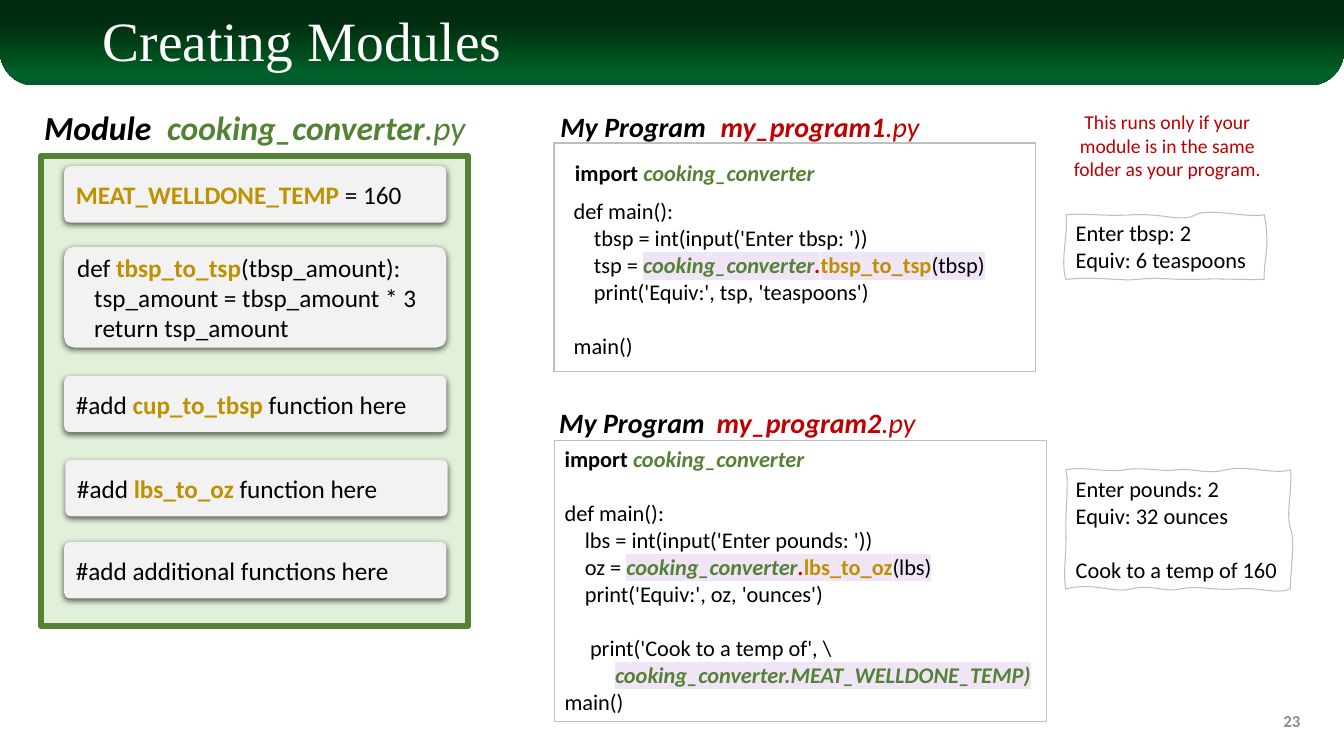
"""Build the Creating Modules slide: a Python module and two programs that import it."""
from lxml import etree
from pptx import Presentation
from pptx.dml.color import RGBColor
from pptx.enum.shapes import MSO_SHAPE
from pptx.enum.text import MSO_ANCHOR, PP_ALIGN
from pptx.oxml import parse_xml
from pptx.oxml.ns import nsdecls, qn
from pptx.util import Cm, Pt

COLORS = {
    "black": "000000", "white": "FFFFFF", "green": "548235", "pale green": "E2F0D9",
    "gold": "BF9000", "red": "C00000", "card": "F2F2F2", "border": "BFBFBF",
    "page": "8C8C8C", "lilac": "EFE5F7",
}
STYLES = {
    "plain": ("black", False, False, False),
    "keyword": ("black", True, False, False),
    "heading": ("black", True, True, False),
    "name": ("gold", True, False, False),
    "module": ("green", True, True, False),
    "module suffix": ("green", False, True, False),
    "program": ("red", True, True, False),
    "program suffix": ("red", False, True, False),
    "note": ("red", False, False, False),
    "title": ("white", False, False, False),
    "page": ("page", True, False, False),
    "used module": ("green", True, True, True),
    "used dot": ("red", True, True, True),
    "used name": ("gold", True, False, True),
    "used call": ("black", False, False, True),
}
BLANK_LINE = 19.5
CODE_INDENT = 0.51
CONTINUATION_INDENT = 0.63

prs = Presentation()
prs.slide_width, prs.slide_height = Cm(33.87), Cm(19.05)
slide = prs.slides.add_slide(prs.slide_layouts[6])
shapes = slide.shapes


def write(shape, lines, size, font="Calibri", anchor=MSO_ANCHOR.TOP, align=PP_ALIGN.LEFT):
    """Fill a shape with lines of (indent in cm, gap above in points, runs)."""
    frame = shape.text_frame
    frame.word_wrap = True
    frame.vertical_anchor = anchor
    for number, (indent, gap, runs) in enumerate(lines):
        paragraph = frame.add_paragraph() if number else frame.paragraphs[0]
        paragraph.alignment = align
        paragraph.space_before = Pt(gap)
        hanging = CONTINUATION_INDENT if ("\n", "plain") in runs else 0
        properties = paragraph._p.get_or_add_pPr()
        properties.set("marL", str(Cm(indent + hanging)))
        properties.set("indent", str(Cm(-hanging)))
        for text, style in runs:
            if text == "\n":
                paragraph.add_line_break()
                continue
            color, bold, italic, highlighted = STYLES[style]
            run = paragraph.add_run()
            run.text = text
            run.font.size, run.font.bold, run.font.italic = Pt(size), bold, italic
            run.font.color.rgb = RGBColor.from_string(COLORS[color])
            if highlighted:
                run.font._element.find(qn("a:solidFill")).addnext(parse_xml(
                    f'<a:highlight {nsdecls("a")}><a:srgbClr val="{COLORS["lilac"]}"/></a:highlight>'))
            run.font.name = font


def paint(shape, fill, line, width):
    """Give a shape its fill and outline, without a shadow."""
    shape.shadow.inherit = False
    if fill:
        shape.fill.solid()
        shape.fill.fore_color.rgb = RGBColor.from_string(COLORS[fill])
    else:
        shape.fill.background()
    if line:
        shape.line.color.rgb = RGBColor.from_string(COLORS[line])
        shape.line.width = Pt(width)
    else:
        shape.line.fill.background()


banner = shapes.add_shape(MSO_SHAPE.ROUND_2_SAME_RECTANGLE, 0, 0, prs.slide_width, Cm(2.15))
banner.adjustments[0], banner.adjustments[1] = 0, 0.4
paint(banner, None, None, 0)
banner.fill.gradient()
banner.fill.gradient_angle = 270
banner_stops = banner._element.spPr.find(qn("a:gradFill")).find(qn("a:gsLst"))
for stop in list(banner_stops):
    banner_stops.remove(stop)
for percent, shade in [(28, "002D10"), (68, "00501D"), (85, "00602B"), (100, "005C2B")]:
    stop = etree.SubElement(banner_stops, qn("a:gs"), pos=str(percent * 1000))
    etree.SubElement(stop, qn("a:srgbClr"), val=shade)

title = shapes.add_textbox(Cm(2.34), Cm(0.33), Cm(29.2), Cm(1.55))
write(title, [(0, 0, [("Creating Modules", "title")])], 39.6, "Times New Roman", MSO_ANCHOR.MIDDLE)
title.text_frame.paragraphs[0].line_spacing = 0.9

module_panel = shapes.add_shape(MSO_SHAPE.RECTANGLE, Cm(1.03), Cm(3.93), Cm(10.77), Cm(11.84))
paint(module_panel, "pale green", "green", 4.5)

headings = [
    (0.86, 2.56, 3.23, 24, [("Module", "heading")]),
    (3.96, 2.56, 8.79, 24, [("cooking_converter", "module"), (".py", "module suffix")]),
    (13.87, 2.64, 4.22, 20, [("My Program", "heading")]),
    (17.91, 2.64, 6.48, 20, [("my_program1", "program"), (".py", "program suffix")]),
    (13.84, 10.1, 4.22, 20, [("My Program", "heading")]),
    (17.81, 10.1, 6.48, 20, [("my_program2", "program"), (".py", "program suffix")]),
]
for left, top, width, size, runs in headings:
    heading = shapes.add_textbox(Cm(left), Cm(top), Cm(width), Cm(1.1))
    write(heading, [(0, 0, runs)], size)

module_cards = [
    (1.62, 9.47, 1.42, [
        (0, 0, [("#add ", "plain"), ("cup_to_tbsp ", "name"), ("function here", "plain")])]),
    (1.62, 6.22, 2.54, [
        (0, 0, [("def ", "plain"), ("tbsp_to_tsp", "name"), ("(tbsp_amount):", "plain")]),
        (0.43, 0, [("tsp_amount = tbsp_amount * 3", "plain")]),
        (0.43, 0, [("return tsp_amount", "plain")])]),
    (1.65, 11.59, 1.42, [
        (0, 0, [("#add ", "plain"), ("lbs_to_oz ", "name"), ("function here", "plain")])]),
    (1.62, 13.66, 1.42, [(0, 0, [("#add additional functions here", "plain")])]),
    (1.62, 4.19, 1.42, [(0, 0, [("MEAT_WELLDONE_TEMP ", "name"), ("= 160", "plain")])]),
]
for left, top, height, lines in module_cards:
    card = shapes.add_shape(MSO_SHAPE.ROUNDED_RECTANGLE, Cm(left), Cm(top), Cm(9.63), Cm(height))
    card.adjustments[0] = 0.1
    paint(card, "card", None, 0)
    card_shadow = etree.SubElement(card._element.spPr.find(qn("a:effectLst")), qn("a:outerShdw"),
                                   blurRad=str(Pt(4.5)), dist=str(Pt(1.5)), dir="5400000", rotWithShape="0")
    shadow_color = etree.SubElement(card_shadow, qn("a:srgbClr"), val=COLORS["black"])
    etree.SubElement(shadow_color, qn("a:alpha"), val="63000")
    write(card, lines, 18, anchor=MSO_ANCHOR.MIDDLE)

import_line = (0, 0, [("import ", "keyword"), ("cooking_converter", "module")])

program1_frame = shapes.add_shape(MSO_SHAPE.RECTANGLE, Cm(13.96), Cm(3.6), Cm(12.14), Cm(5.77))
paint(program1_frame, None, "border", 1)
program1_import = shapes.add_textbox(Cm(14.24), Cm(3.89), Cm(6.7), Cm(0.94))
write(program1_import, [import_line], 16)
program1_code = shapes.add_textbox(Cm(14.21), Cm(4.85), Cm(12.4), Cm(4.37))
write(program1_code, [
    (0, 0, [("def main():", "plain")]),
    (CODE_INDENT, 0, [("tbsp = int(input('Enter tbsp: '))", "plain")]),
    (CODE_INDENT, 0, [("tsp = ", "plain"), ("cooking_converter", "used module"), (".", "used dot"),
                      ("tbsp_to_tsp", "used name"), ("(tbsp)", "used call")]),
    (CODE_INDENT, 0, [("print('Equiv:', tsp, 'teaspoons')", "plain")]),
    (0, BLANK_LINE, [("main()", "plain")]),
], 16)

program2_code = shapes.add_shape(MSO_SHAPE.RECTANGLE, Cm(13.98), Cm(11.09), Cm(12.4), Cm(7.09))
paint(program2_code, None, "border", 0.75)
write(program2_code, [
    import_line,
    (0, BLANK_LINE, [("def main():", "plain")]),
    (CODE_INDENT, 0, [("lbs = int(input('Enter pounds: '))", "plain")]),
    (CODE_INDENT, 0, [("oz = ", "plain"), ("cooking_converter", "used module"), (".", "used dot"),
                      ("lbs_to_oz", "used name"), ("(lbs)", "used call")]),
    (CODE_INDENT, 0, [("print('Equiv:', oz, 'ounces')", "plain")]),
    (0.64, BLANK_LINE, [("print('Cook to a temp of', \\", "plain"), ("\n", "plain"),
                        ("cooking_converter.MEAT_WELLDONE_TEMP)", "used module")]),
    (0, 0, [("main()", "plain")]),
], 16)
for line_break in program2_code._element.iter(qn("a:br")):
    etree.SubElement(line_break, qn("a:rPr"), sz="1600")

outputs = [
    (5.41, [(0, 0), (0.74, -0.03), (0.99, 0.05), (1.73, 0), (2.46, -0.03), (2.97, 0.2), (3.28, 0),
            (3.61, -0.18), (4.62, 0.1), (5, 0), (5.16, 0.79), (4.98, 1.19), (5, 1.63),
            (4.37, 1.65), (3.94, 1.6), (3.33, 1.63), (2.72, 1.65), (2.34, 1.57), (1.83, 1.63),
            (1.32, 1.68), (0.84, 1.55), (0, 1.63), (-0.15, 1.09), (0.08, 0.46), (0, 0)],
     [(0, "Enter tbsp: 2"), (0, "Equiv: 6 teaspoons")]),
    (11.84, [(0, 0), (0.46, -0.1), (0.97, 0.08), (1.47, 0), (1.98, -0.08), (2.36, 0.05), (2.79, 0),
             (3.23, -0.05), (3.51, 0.13), (4.04, 0), (4.55, -0.13), (5.23, 0.13), (5.66, 0),
             (5.72, 0.41), (5.54, 1.14), (5.66, 1.47), (5.79, 1.8), (5.66, 2.49), (5.66, 3),
             (5.31, 3.15), (4.93, 2.95), (4.32, 3), (3.71, 3.05), (3.33, 2.9), (2.9, 3),
             (2.46, 3.1), (2.16, 2.87), (1.65, 3), (1.14, 3.12), (0.76, 2.82), (0, 3),
             (-0.08, 2.59), (0.03, 2.08), (0, 1.5), (0, 0.91), (0.08, 0.3), (0, 0)],
     [(0, "Enter pounds: 2"), (0, "Equiv: 32 ounces"), (BLANK_LINE, "Cook to a temp of 160")]),
]
output_left = 26.86
for output_top, curve, lines in outputs:
    builder = shapes.build_freeform(Cm(output_left), Cm(output_top))
    builder.add_line_segments([(Cm(output_left + x), Cm(output_top + y)) for x, y in curve[3::3]])
    output = builder.convert_to_shape()
    for number, segment in enumerate(list(output._element.iter(qn("a:lnTo")))):
        segment.tag = qn("a:cubicBezTo")
        for position, (x, y) in enumerate(curve[number * 3 + 1:number * 3 + 3]):
            segment.insert(position, etree.Element(qn("a:pt"), x=str(Cm(x)), y=str(Cm(y))))
    paint(output, None, "border", 0.75)
    write(output, [(0, gap, [(text, "plain")]) for gap, text in lines], 16)
    output.text_frame.margin_right = 0

folder_note = shapes.add_textbox(Cm(26.7), Cm(2.65), Cm(5.44), Cm(2.06))
write(folder_note, [(0, 0, [("This runs only if your module is in the same folder as your program.", "note")])],
      14, align=PP_ALIGN.CENTER)

page_number = shapes.add_textbox(Cm(25.4), Cm(17.65), Cm(7.62), Cm(1.02))
write(page_number, [(0, 0, [("23", "page")])], 12, anchor=MSO_ANCHOR.MIDDLE, align=PP_ALIGN.RIGHT)

prs.save("out.pptx")
